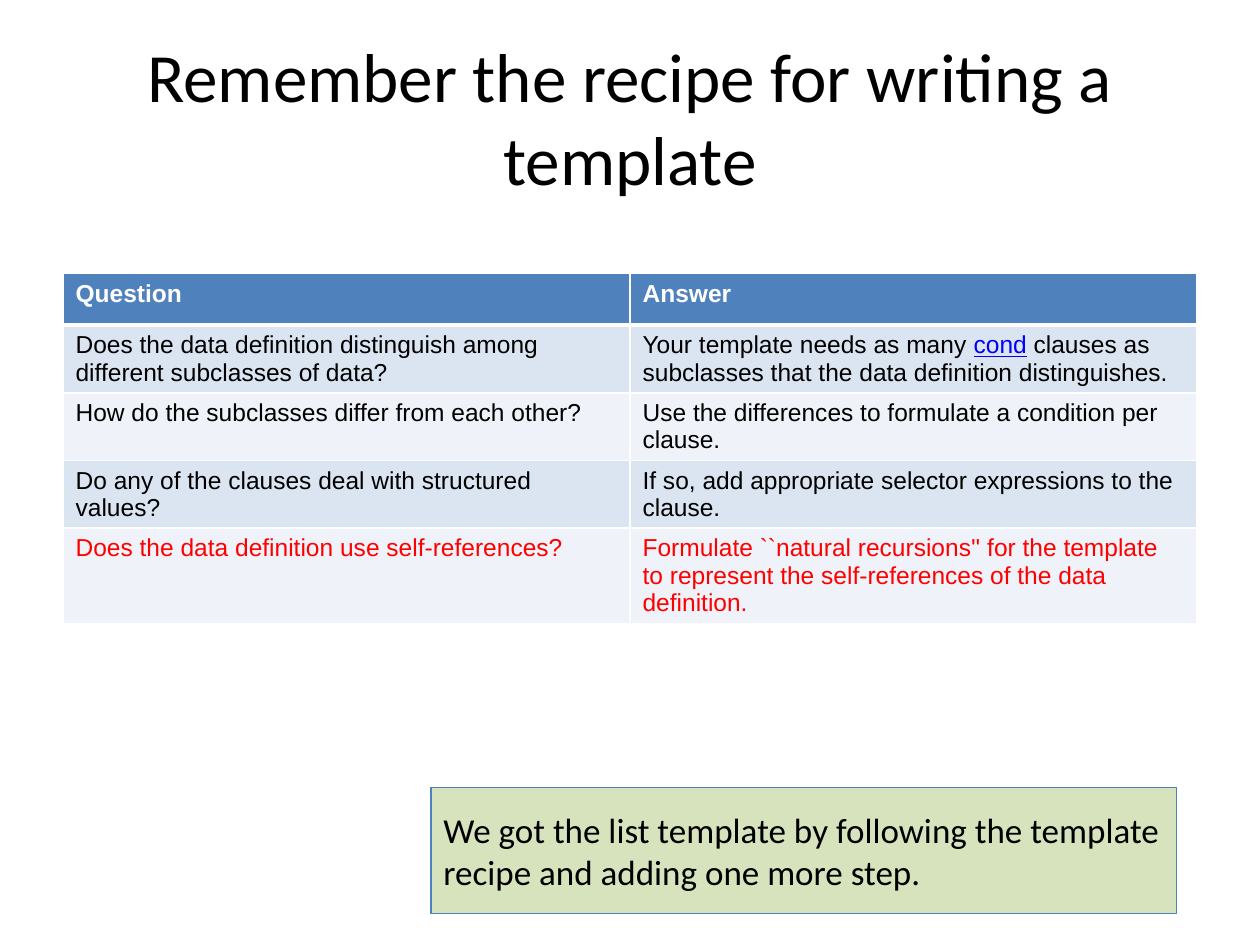
from lxml.etree import SubElement
from pptx import Presentation
from pptx.dml.color import RGBColor
from pptx.enum.shapes import MSO_SHAPE as Shape
from pptx.enum.text import MSO_ANCHOR as Anchor, MSO_AUTO_SIZE as AutoSize, PP_ALIGN as Align
from pptx.oxml.ns import qn
from pptx.util import Inches, Pt

BLACK, WHITE, RED, LINK = "000000", "FFFFFF", "FF0000", "0000FF"
HEADER_BLUE, BANDS = "4F81BD", ("DBE5F1", "EFF3F9")
NOTE_GREEN = "D6E3BC"

# A cell is a list of runs.
ROWS = [
    (["Question"], ["Answer"]),
    (["Does the data definition distinguish among different subclasses of data?"],
     ["Your template needs as many ", "cond",
      " clauses as subclasses that the data definition distinguishes."]),
    (["How do the subclasses differ from each other?"],
     ["Use the differences to formulate a condition per clause."]),
    (["Do any of the clauses deal with structured values?"],
     ["If so, add appropriate selector expressions to the clause."]),
    (["Does the data definition use self-references?"],
     ["Formulate ``natural recursions'' for the template to represent "
      "the self-references of the data definition."]),
]


def rgb(color):
    return RGBColor.from_string(color)


def format_run(run, font, size, color, bold=False):
    run.font.name = font
    run.font.size = Pt(size)
    run.font.bold = bold
    run.font.color.rgb = rgb(color)


def place(shape, left, top, width, height):
    shape.left, shape.top = Inches(left), Inches(top)
    shape.width, shape.height = Inches(width), Inches(height)


def add_title(slide, text):
    title = slide.shapes.title
    place(title, 0.5, 0.3, 9, 1.25)
    frame = title.text_frame
    frame.text = text
    frame.auto_size = AutoSize.NONE
    frame.vertical_anchor = Anchor.MIDDLE
    paragraph = frame.paragraphs[0]
    paragraph.alignment = Align.CENTER
    format_run(paragraph.runs[0], "Calibri", 39.5, BLACK)


def set_borders(cell, bottom=1, top=1):
    """Draw white borders; bottom and top are widths in points."""
    properties = cell._tc.get_or_add_tcPr()
    for side, width in (("L", 1), ("R", 1), ("T", top), ("B", bottom)):
        line = SubElement(properties, qn(f"a:ln{side}"), w=str(Pt(width)))
        fill = SubElement(line, qn("a:solidFill"))
        SubElement(fill, qn("a:srgbClr"), val=WHITE)


def fill_cell(cell, texts, fill, color, bold):
    cell.fill.solid()
    cell.fill.fore_color.rgb = rgb(fill)
    paragraph = cell.text_frame.paragraphs[0]
    for text in texts:
        run = paragraph.add_run()
        run.text = text
        is_link = text == "cond"
        format_run(run, "Arial", 14, LINK if is_link else color, bold)
        if is_link:
            run.font.underline = True


def add_recipe_table(slide, rows):
    row_height = 0.41
    table = slide.shapes.add_table(
        len(rows), 2, Inches(0.5), Inches(2.17), Inches(9), Inches(row_height * len(rows))
    ).table
    for row_index, row in enumerate(rows):
        is_header = row_index == 0
        is_new_step = row_index == len(rows) - 1
        fill = HEADER_BLUE if is_header else BANDS[(row_index - 1) % 2]
        color = WHITE if is_header else RED if is_new_step else BLACK
        for column_index, texts in enumerate(row):
            cell = table.cell(row_index, column_index)
            set_borders(cell, bottom=3 if is_header else 1, top=3 if row_index == 1 else 1)
            fill_cell(cell, texts, fill, color, is_header)


def add_note(slide, text):
    note = slide.shapes.add_shape(
        Shape.RECTANGLE, Inches(3.42), Inches(6.25), Inches(5.92), Inches(1))
    note.shadow.inherit = False
    note.fill.solid()
    note.fill.fore_color.rgb = rgb(NOTE_GREEN)
    note.line.color.rgb = rgb(HEADER_BLUE)
    note.line.width = Pt(0.75)
    frame = note.text_frame
    frame.word_wrap = True
    frame.vertical_anchor = Anchor.MIDDLE
    frame.text = text
    paragraph = frame.paragraphs[0]
    paragraph.alignment = Align.LEFT
    format_run(paragraph.runs[0], "Calibri", 20, BLACK)


def main():
    presentation = Presentation()
    presentation.slide_width, presentation.slide_height = Inches(10), Inches(7.5)
    slide = presentation.slides.add_slide(presentation.slide_layouts.get_by_name("Title Only"))
    add_title(slide, "Remember the recipe for writing a template")
    add_recipe_table(slide, ROWS)
    add_note(slide, "We got the list template by following the template "
                    "recipe and adding one more step.")
    presentation.save("out.pptx")


if __name__ == "__main__":
    main()
